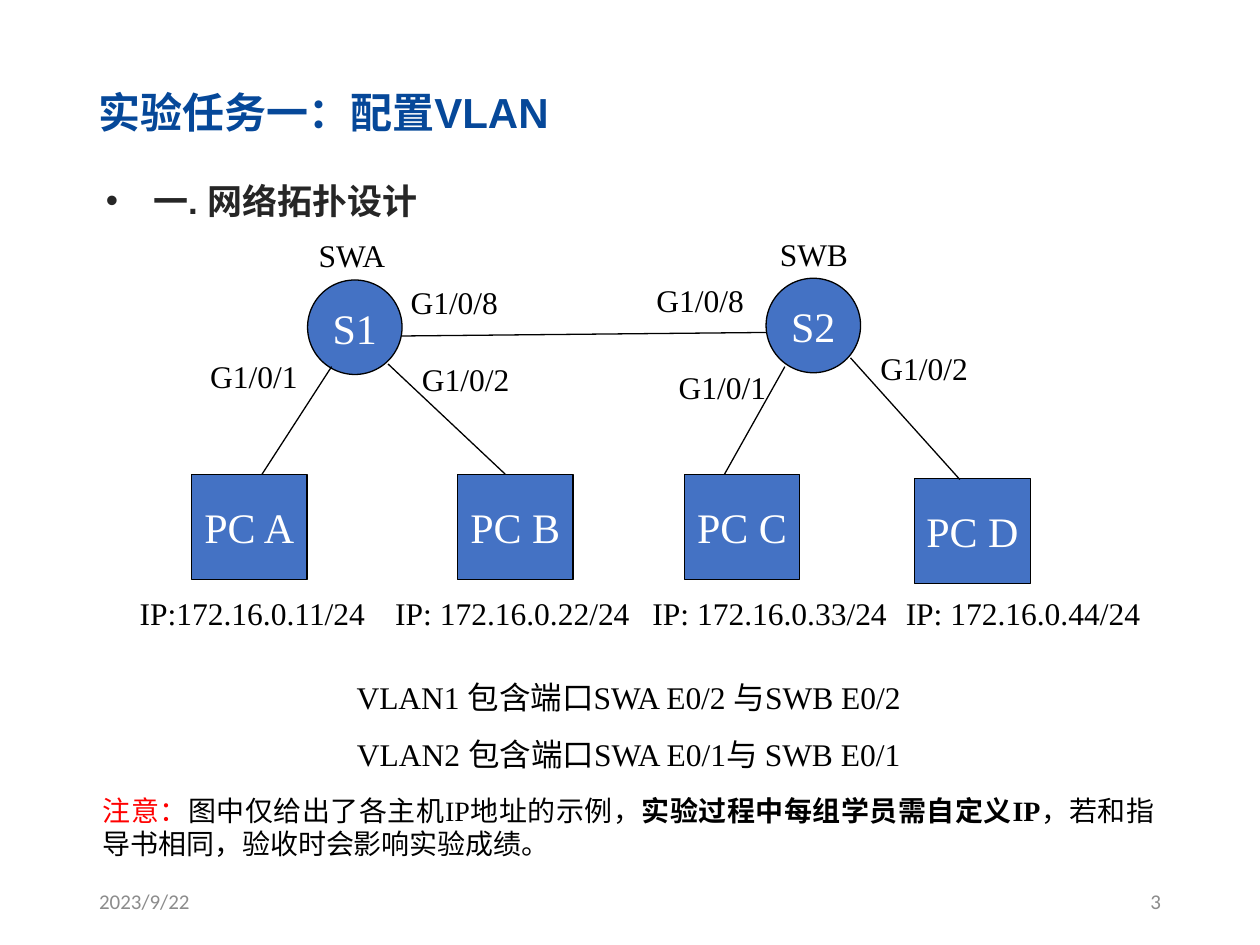
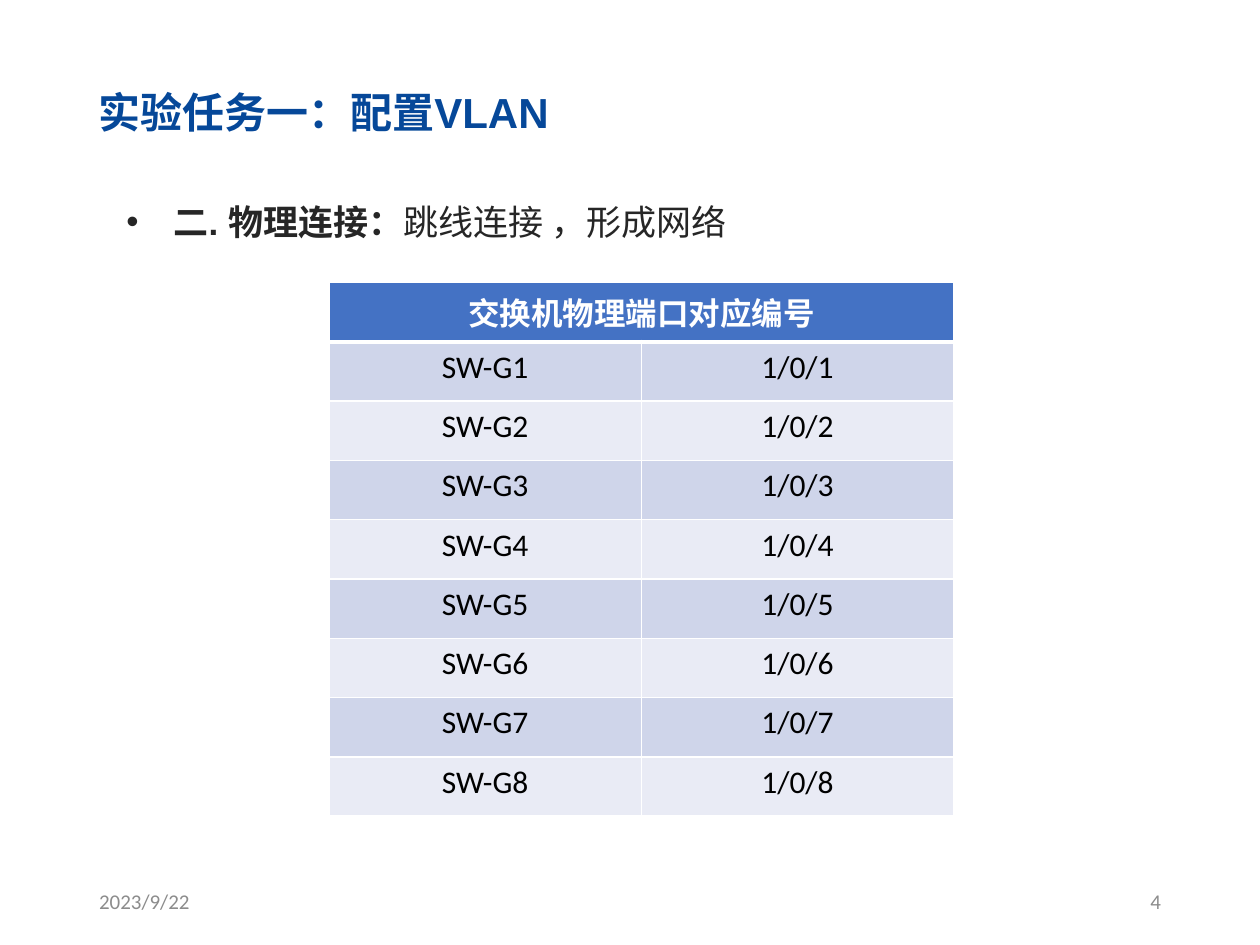
from lxml.etree import SubElement
from pptx import Presentation
from pptx.dml.color import RGBColor
from pptx.enum.shapes import MSO_CONNECTOR, MSO_SHAPE
from pptx.enum.text import MSO_ANCHOR, MSO_AUTO_SIZE, PP_ALIGN
from pptx.oxml.ns import qn
from pptx.util import Pt

COLORS = {
    "title": "064899", "heading": "262626", "text": "000000", "warning": "FF0000",
    "footer": "8C8C8C", "accent": "4472C4", "white": "FFFFFF",
    "band_dark": "CFD5EA", "band_light": "E9EBF5",
}
HEAD_FONT, TABLE_FONT, DIAGRAM_FONT = "Arial", "Calibri", "Times New Roman"
TITLE = "实验任务一：配置VLAN"
DATE = "2023/9/22"


def rgb(name):
    return RGBColor.from_string(COLORS[name])


class Deck:
    def __init__(self):
        self.prs = Presentation()
        self.prs.slide_width, self.prs.slide_height = Pt(720), Pt(540)
        self.slide = None

    def style(self, p, size, font, color="text", bold=False, align=PP_ALIGN.LEFT):
        p.alignment = align
        for r in p.runs:
            r.font.size, r.font.name, r.font.bold = Pt(size), font, bold
            r.font.color.rgb = rgb(color)

    def place(self, sp, x, y, w, h):
        sp.left, sp.top, sp.width, sp.height = Pt(x), Pt(y), Pt(w), Pt(h)

    def add_slide(self, number):
        self.slide = self.prs.slides.add_slide(self.prs.slide_layouts[1])
        title = self.slide.shapes.title
        self.place(title, 49, 46, 613.5, 36)
        tf = title.text_frame
        tf.text = TITLE
        tf.auto_size, tf.vertical_anchor = MSO_AUTO_SIZE.NONE, MSO_ANCHOR.MIDDLE
        self.style(tf.paragraphs[0], 24, HEAD_FONT, "title", True)
        self.footer(49.5, DATE, PP_ALIGN.LEFT)
        self.footer(508.5, str(number), PP_ALIGN.RIGHT)

    def footer(self, x, text, align):
        tf = self.text_box(x, 500.5, 162, 28.75)
        tf.vertical_anchor = MSO_ANCHOR.MIDDLE
        p = tf.paragraphs[0]
        p.text = text
        self.style(p, 12, TABLE_FONT, "footer", align=align)

    def heading(self, x, y, bold_text, plain_text=""):
        body = self.slide.placeholders[1]
        self.place(body, x, y, 610, 39.5)
        tf = body.text_frame
        tf.text = bold_text
        tf.auto_size, tf.vertical_anchor = MSO_AUTO_SIZE.NONE, MSO_ANCHOR.TOP
        p = tf.paragraphs[0]
        p.line_spacing, p.space_before = 1.5, Pt(0)
        pPr = p._p.get_or_add_pPr()
        pPr.set("marL", str(Pt(27)))
        pPr.set("indent", str(-Pt(27)))
        SubElement(pPr, qn("a:buFont"), typeface="Arial")
        SubElement(pPr, qn("a:buChar"), char="•")
        if plain_text:
            p.add_run().text = plain_text
        self.style(p, 20, HEAD_FONT, "heading", True)
        for r in p.runs[1:]:
            r.font.bold = False

    def text_box(self, x, y, w, h):
        tf = self.slide.shapes.add_textbox(Pt(x), Pt(y), Pt(w), Pt(h)).text_frame
        tf.word_wrap = True
        return tf

    def label(self, x, y, text, w=76):
        p = self.text_box(x, y, w, 29).paragraphs[0]
        p.text = text
        self.style(p, 18, DIAGRAM_FONT)

    def node(self, kind, x, y, w, h, text):
        sp = self.slide.shapes.add_shape(kind, Pt(x), Pt(y), Pt(w), Pt(h))
        sp.shadow.inherit = False
        sp.fill.solid()
        sp.fill.fore_color.rgb = rgb("accent")
        sp.line.color.rgb, sp.line.width = rgb("text"), Pt(0.75)
        tf = sp.text_frame
        tf.text = text
        tf.word_wrap, tf.vertical_anchor = False, MSO_ANCHOR.MIDDLE
        self.style(tf.paragraphs[0], 24, DIAGRAM_FONT, "white", align=PP_ALIGN.CENTER)

    def link(self, x1, y1, x2, y2):
        line = self.slide.shapes.add_connector(
            MSO_CONNECTOR.STRAIGHT, Pt(x1), Pt(y1), Pt(x2), Pt(y2))
        line.line.color.rgb, line.line.width = rgb("text"), Pt(0.75)
        SubElement(line._element.spPr, qn("a:effectLst"))

    def vlan_summary(self, vlan_lines, warning_parts):
        """Centred lines, then a justified warning of (text, color, bold) parts."""
        tf = self.text_box(51.75, 373, 615, 124)
        tf.text = "\n".join(vlan_lines)
        for p in tf.paragraphs:
            p.line_spacing = 1.5
            self.style(p, 18, DIAGRAM_FONT, align=PP_ALIGN.CENTER)
        p = tf.add_paragraph()
        p.space_before = Pt(12)
        for text, _, _ in warning_parts:
            p.add_run().text = text
        self.style(p, 16, DIAGRAM_FONT, align=PP_ALIGN.JUSTIFY)
        for r, (_, color, bold) in zip(p.runs, warning_parts):
            r.font.color.rgb, r.font.bold = rgb(color), bold

    def cell(self, cell, text, fill, color="text", bold=False, top=1, bottom=1):
        p = cell.text_frame.paragraphs[0]
        p.text = text
        self.style(p, 18, TABLE_FONT, color, bold, PP_ALIGN.CENTER)
        tcPr = cell._tc.get_or_add_tcPr()
        for side, width in (("L", 1), ("R", 1), ("T", top), ("B", bottom)):
            ln = SubElement(tcPr, qn(f"a:ln{side}"), w=str(Pt(width)))
            SubElement(SubElement(ln, qn("a:solidFill")), qn("a:srgbClr"), val=COLORS["white"])
        cell.fill.solid()
        cell.fill.fore_color.rgb = rgb(fill)

    def table(self, x, y, w, row_h, header, rows):
        n = len(rows) + 1
        table = self.slide.shapes.add_table(
            n, 2, Pt(x), Pt(y), Pt(w), Pt(row_h * n)).table
        for row in table.rows:
            row.height = Pt(row_h)
        for col, text in enumerate((header, "")):
            self.cell(table.cell(0, col), text, "accent", "white", True, bottom=3)
        table.cell(0, 0).merge(table.cell(0, 1))
        for i, values in enumerate(rows, 1):
            fill = "band_dark" if i % 2 else "band_light"
            for col, text in enumerate(values):
                self.cell(table.cell(i, col), text, fill, top=3 if i == 1 else 1)


def topology_slide(deck):
    deck.add_slide(3)
    deck.heading(53.25, 87, "一. 网络拓扑设计")
    deck.vlan_summary(
        ["VLAN1 包含端口SWA E0/2 与SWB E0/2", "VLAN2 包含端口SWA E0/1与 SWB E0/1"],
        [("注意：", "warning", False),
         ("图中仅给出了各主机IP地址的示例，", "text", False),
         ("实验过程中每组学员需自定义IP", "text", True),
         ("，若和指导书相同，验收时会影响实验成绩。", "text", False)])

    for x, y, name in ((175.75, 160, "S1"), (437.75, 159, "S2")):
        deck.node(MSO_SHAPE.OVAL, x, y, 54, 54, name)
    hosts = (
        (109.5, 271, "PC A", 72.75, "IP:172.16.0.11/24"),
        (261.5, 271, "PC B", 218.75, "IP: 172.16.0.22/24"),
        (391, 271, "PC C", 365.75, "IP: 172.16.0.33/24"),
        (522.75, 273.5, "PC D", 510.5, "IP: 172.16.0.44/24"),
    )
    for x, y, name, ip_x, ip in hosts:
        deck.node(MSO_SHAPE.RECTANGLE, x, y, 66, 60, name)
        deck.label(ip_x, 336, ip, w=154)

    trunk = (437.75, 190, 229.75, 192)
    host_links = (
        (149.75, 271, 189.5, 209.5), (288.75, 271, 221.75, 208),
        (448.5, 209.5, 414, 271), (548.5, 274, 486, 204.5),
    )
    for ends in (trunk, *host_links):
        deck.link(*ends)

    labels = (
        (175, 131.5, "SWA"), (438.5, 131, "SWB"),
        (227.5, 158, "G1/0/8"), (368, 157, "G1/0/8"),
        (113, 200.5, "G1/0/1"), (234, 202, "G1/0/2"),
        (380.75, 206.5, "G1/0/1"), (496, 196, "G1/0/2"),
    )
    for x, y, text in labels:
        deck.label(x, y, text)


def ports_slide(deck):
    deck.add_slide(4)
    deck.heading(65, 99.25, "二. 物理连接：", "跳线连接 ，形成网络")
    ports = [(f"SW-G{i}", f"1/0/{i}") for i in range(1, 9)]
    deck.table(188, 161.5, 357, 33.9, "交换机物理端口对应编号", ports)


def main():
    deck = Deck()
    topology_slide(deck)
    ports_slide(deck)
    deck.prs.save("out.pptx")


if __name__ == "__main__":
    main()
